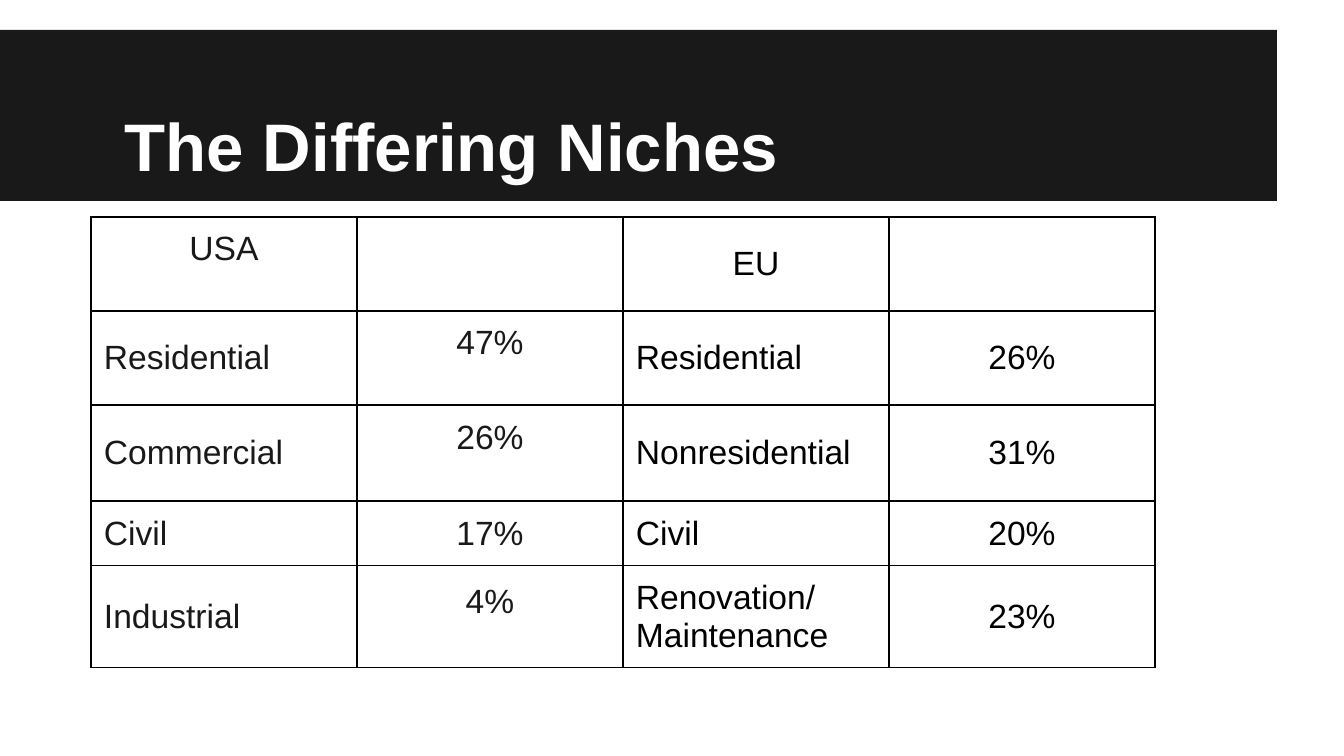
from lxml.etree import SubElement
from pptx import Presentation
from pptx.dml.color import RGBColor
from pptx.enum.shapes import MSO_SHAPE
from pptx.enum.text import MSO_ANCHOR, MSO_AUTO_SIZE, PP_ALIGN
from pptx.oxml import parse_xml
from pptx.oxml.ns import nsdecls, qn
from pptx.util import Emu, Pt

PIXELS_PER_INCH = 134.4
FONT = "Arial"
DARK = RGBColor(0x19, 0x19, 0x19)
BLACK = RGBColor(0x00, 0x00, 0x00)
WHITE = RGBColor(0xFF, 0xFF, 0xFF)

INSET = 13
RAISED_BOTTOM = 30
ROW_HEIGHTS = [94, 94, 96, 65, 102]
ROWS = [
    ["USA", "", "EU", ""],
    ["Residential", "47%", "Residential", "26%"],
    ["Commercial", "26%", "Nonresidential", "31%"],
    ["Civil", "17%", "Civil", "20%"],
    ["Industrial", "4%", "Renovation/\nMaintenance", "23%"],
]
# Cells whose text sits above the middle of the row
RAISED_CELLS = {(0, 0), (1, 1), (2, 1), (4, 1)}


def px(length):
    return Emu(round(length * 914400 / PIXELS_PER_INCH))


def set_font(font, size, color, bold=False):
    font.name = FONT
    font.size = Pt(size)
    font.bold = bold
    font.color.rgb = color


def add_header(slide, left, top, width, height):
    """Place the dark band and the title that stands on it."""
    band = slide.shapes.add_shape(
        MSO_SHAPE.RECTANGLE, px(left), px(top), px(width), px(height))
    band.shadow.inherit = False
    band.fill.solid()
    band.fill.fore_color.rgb = DARK
    band.line.fill.background()

    title = slide.shapes.title
    title._element.addprevious(band._element)
    title.left, title.top = px(left + 67), px(top)
    title.width, title.height = px(1210), px(height - 3)
    frame = title.text_frame
    frame.text = "The Differing Niches"
    frame.auto_size = MSO_AUTO_SIZE.NONE
    frame.vertical_anchor = MSO_ANCHOR.BOTTOM
    frame.margin_left = px(INSET + 45)
    frame.margin_right = frame.margin_top = frame.margin_bottom = px(INSET)
    paragraph = frame.paragraphs[0]
    paragraph.alignment = PP_ALIGN.LEFT
    set_font(paragraph.font, 36, WHITE, bold=True)


def add_borders(cell):
    properties = cell._tc.get_or_add_tcPr()
    for position, side in enumerate(("lnL", "lnR", "lnT", "lnB")):
        border = parse_xml(f'<a:{side} {nsdecls("a")} w="{Pt(0.75)}"/>')
        fill = SubElement(border, qn("a:solidFill"))
        SubElement(fill, qn("a:srgbClr"), val=str(BLACK))
        properties.insert(position, border)


def format_cell(cell, text, color, centered, raised):
    cell.fill.background()
    add_borders(cell)
    cell.vertical_anchor = MSO_ANCHOR.MIDDLE
    cell.margin_left = cell.margin_right = px(INSET)
    cell.margin_top = px(0 if raised else INSET)
    cell.margin_bottom = px(RAISED_BOTTOM if raised else INSET)
    paragraph = cell.text_frame.paragraphs[0]
    paragraph.text = text
    paragraph.alignment = PP_ALIGN.CENTER if centered else PP_ALIGN.LEFT
    set_font(paragraph.font, 18, color)


def add_niche_table(slide, left, top, width):
    frame = slide.shapes.add_table(
        len(ROWS), len(ROWS[0]), px(left), px(top), px(width), px(sum(ROW_HEIGHTS)))
    table = frame.table
    table.first_row = table.horz_banding = False
    for column in table.columns:
        column.width = px(width // len(ROWS[0]))
    for row_index, (texts, height) in enumerate(zip(ROWS, ROW_HEIGHTS)):
        table.rows[row_index].height = px(height)
        for column_index, text in enumerate(texts):
            format_cell(
                table.cell(row_index, column_index), text,
                color=DARK if column_index < 2 else BLACK,
                centered=row_index == 0 or column_index % 2 == 1,
                raised=(row_index, column_index) in RAISED_CELLS)


def main():
    presentation = Presentation()
    presentation.slide_width = px(1344)
    presentation.slide_height = px(756)
    slide = presentation.slides.add_slide(presentation.slide_layouts[5])
    add_header(slide, 0, 30, 1277, 171)
    add_niche_table(slide, 91, 217, 1064)
    presentation.save("out.pptx")


if __name__ == "__main__":
    main()
